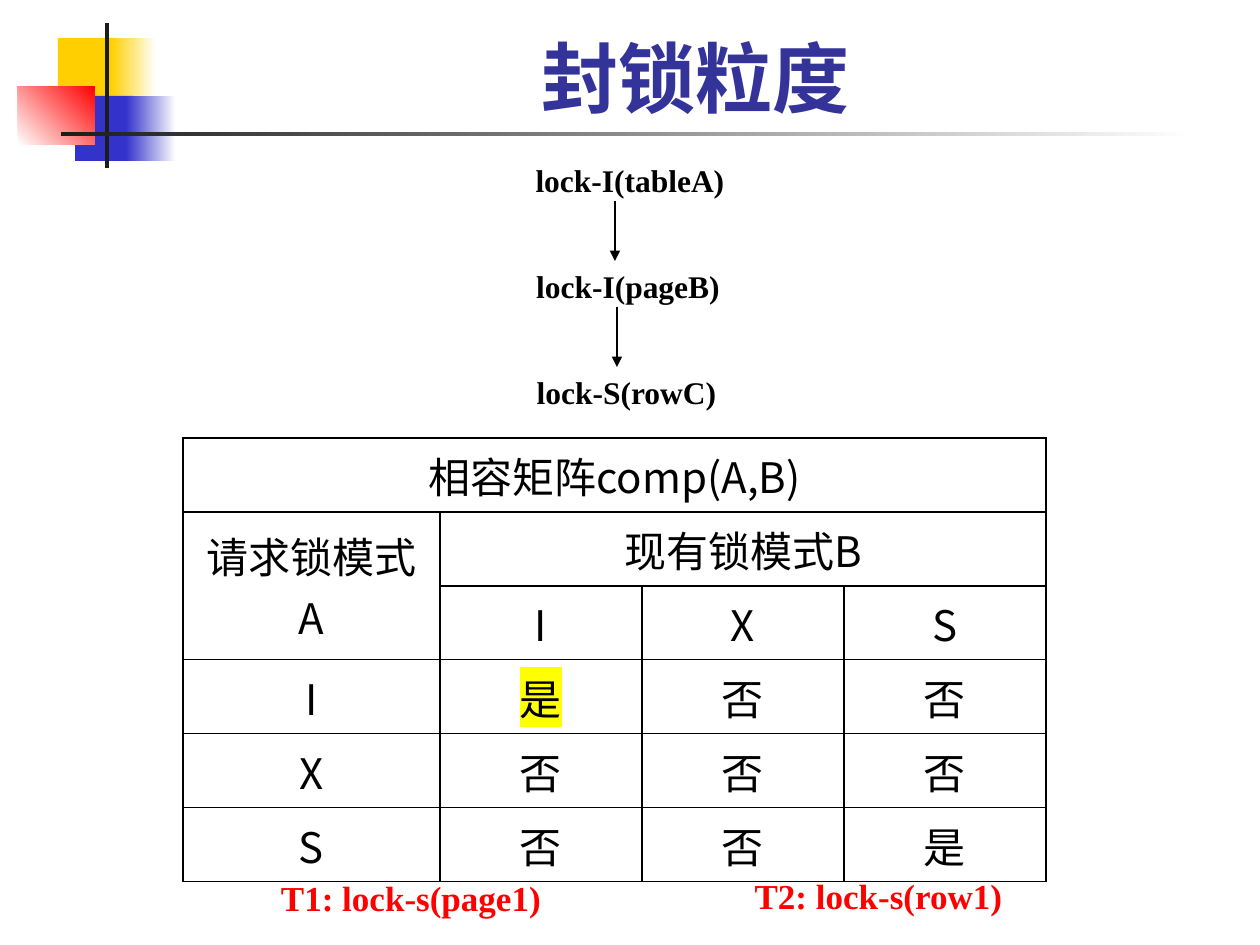
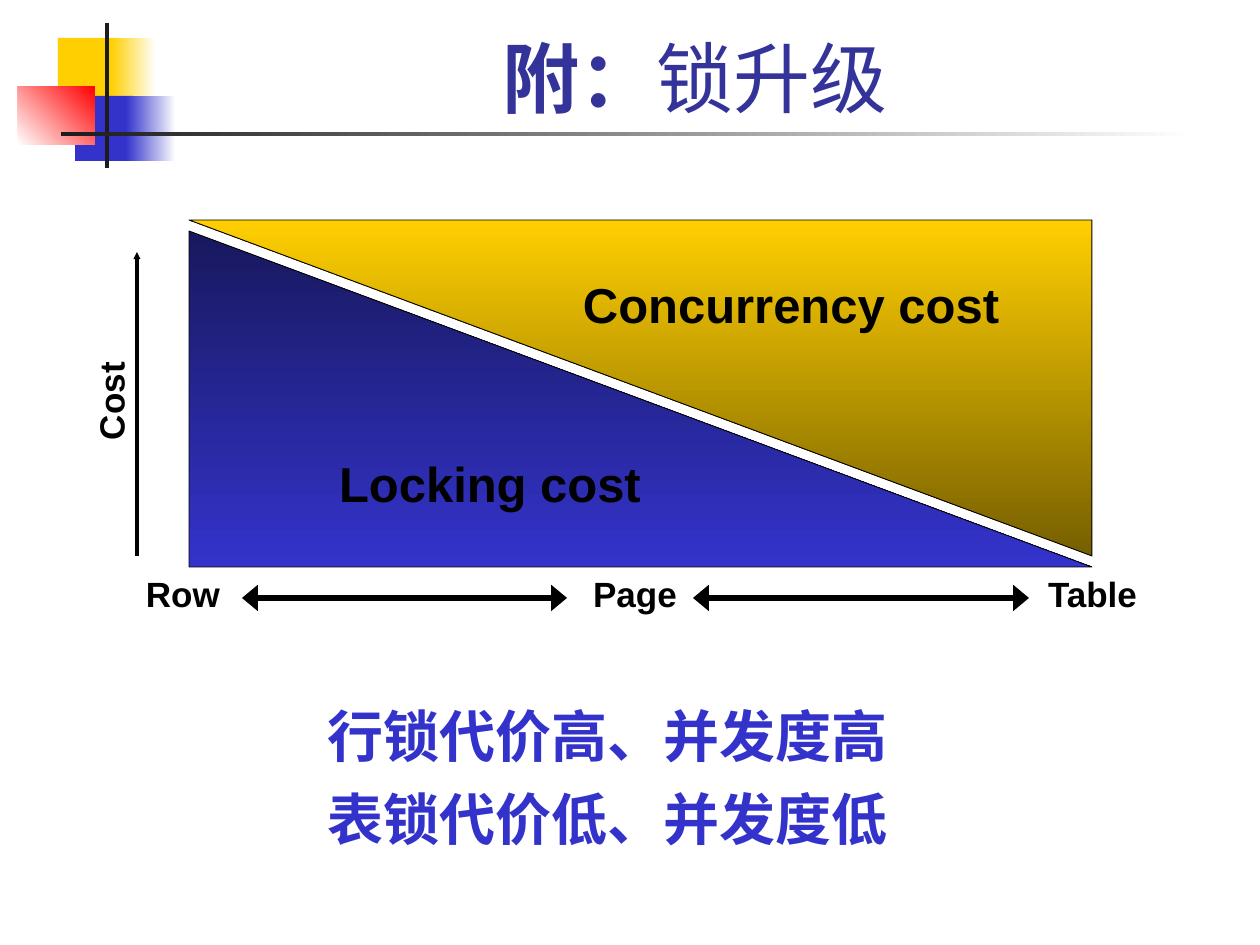
from lxml.etree import SubElement
from pptx import Presentation
from pptx.dml.color import RGBColor
from pptx.enum.shapes import MSO_CONNECTOR, MSO_SHAPE
from pptx.enum.text import MSO_ANCHOR, PP_ALIGN
from pptx.oxml.ns import qn
from pptx.util import Pt

SCALE = 914400 / 126
WIDE, HIGH = 1260, 945

BLACK = RGBColor(0x00, 0x00, 0x00)
WHITE = RGBColor(0xFF, 0xFF, 0xFF)
INK = RGBColor(0x1C, 0x1C, 0x1C)
GOLD = RGBColor(0xFF, 0xCF, 0x01)
BRONZE = RGBColor(0x76, 0x5F, 0x00)
BLUE = RGBColor(0x33, 0x33, 0xCC)
NIGHT = RGBColor(0x18, 0x18, 0x5E)
NAVY = RGBColor(0x33, 0x33, 0x99)
RED = RGBColor(0xFF, 0x00, 0x00)
MARK = RGBColor(0xFF, 0xFF, 0x00)

HEAD, HAN = "Karla", "Noto Sans CJK SC"
SERIF, SANS = "Times New Roman", "Arial"


def px(*sizes):
    return [round(size * SCALE) for size in sizes]


def write(frame, *lines, size=18, font=SERIF, color=BLACK, bold=True, mark=None,
          align=PP_ALIGN.CENTER, anchor=MSO_ANCHOR.TOP, wrap=False, gap=0):
    """Fill a text frame; a line is a string or a list of (text, bold) runs."""
    frame.word_wrap = wrap
    frame.vertical_anchor = anchor
    if not wrap:
        frame.margin_left = frame.margin_right = 0
    for i, line in enumerate(lines):
        para = frame.add_paragraph() if i else frame.paragraphs[0]
        para.alignment = align
        if i and gap:
            para.space_before = Pt(gap)
        for text, heavy in [(line, bold)] if isinstance(line, str) else line:
            run = para.add_run()
            run.text = text
            run.font.size, run.font.bold = Pt(size), heavy
            run.font.color.rgb = color
            run.font.name = font
            props = run._r.get_or_add_rPr()
            SubElement(props, qn("a:ea"), typeface=HAN)
            if mark:
                light = SubElement(props, qn("a:highlight"))
                SubElement(light, qn("a:srgbClr"), val=str(mark))
                props.find(qn("a:latin")).addprevious(light)


class Deck:
    def __init__(self):
        self.show = Presentation()
        self.show.slide_width, self.show.slide_height = px(WIDE, HIGH)
        self.slide = None

    def page(self, *title):
        """Start a slide with the corner blocks, the rules and its title."""
        self.slide = self.show.slides.add_slide(self.show.slide_layouts[6])
        self.shape((58, 38, 60, 66), GOLD)
        self.shape((111, 38, 45, 66), GOLD, WHITE)
        self.shape((75, 96, 58, 65), BLUE)
        self.shape((126, 96, 50, 65), BLUE, WHITE)
        self.shape((18, 86, 77, 59), WHITE, RED, angle=45)
        self.shape((105, 23, 4, 145), INK)
        self.shape((61, 132, 1134, 4), INK, WHITE)
        self.text((159, 23, 1073, 106), list(title), size=44, font=HEAD, color=NAVY,
                  anchor=MSO_ANCHOR.BOTTOM, wrap=True)

    def shape(self, box, color, end=None, angle=0, kind=MSO_SHAPE.RECTANGLE, edge=0):
        form = self.slide.shapes.add_shape(kind, *px(*box))
        form.shadow.inherit = False
        if end is None:
            form.fill.solid()
            form.fill.fore_color.rgb = color
        else:
            form.fill.gradient()
            form.fill.gradient_angle = angle
            for stop, tone in zip(form.fill.gradient_stops, (color, end)):
                stop.color.rgb = tone
        if edge:
            form.line.color.rgb = BLACK
            form.line.width = Pt(edge)
        else:
            form.line.fill.background()
        return form

    def wedge(self, box, dark, color, label, flip=False):
        """Draw a labelled right triangle that fades from a darker tone."""
        form = self.shape(box, dark, color, 270, MSO_SHAPE.RIGHT_TRIANGLE, 0.5)
        write(form.text_frame, label, size=28, font=SANS, anchor=MSO_ANCHOR.MIDDLE)
        if flip:
            frame = form.element.spPr.find(qn("a:xfrm"))
            frame.set("flipH", "1")
            frame.set("flipV", "1")
            form.element.txBody.find(qn("a:bodyPr")).set("rot", "10800000")

    def text(self, box, *lines, turn=0, **style):
        area = self.slide.shapes.add_textbox(*px(*box))
        area.rotation = turn
        write(area.text_frame, *lines, **style)

    def arrow(self, start, end, width, both=False, **head):
        """Draw an arrow; head may set the size of its tip as w and len."""
        line = self.slide.shapes.add_connector(MSO_CONNECTOR.STRAIGHT, *px(*start, *end))
        line.line.color.rgb = BLACK
        line.line.width = Pt(width)
        props = line.element.spPr
        stroke = props.find(qn("a:ln"))
        for tag in ("a:headEnd", "a:tailEnd") if both else ("a:tailEnd",):
            SubElement(stroke, qn(tag), type="triangle", **head)
        SubElement(props, qn("a:effectLst"))

    def table(self, spot, cols, high, rows, spans, marks):
        """Build a ruled grid; spans are pairs of corner cells to merge."""
        box = px(*spot, sum(cols), high * len(rows))
        grid = self.slide.shapes.add_table(len(rows), len(cols), *box).table
        grid.first_row = grid.horz_banding = False
        for col, wide in zip(grid.columns, px(*cols)):
            col.width = wide
        for first, last in spans:
            grid.cell(*first).merge(grid.cell(*last))
        for r, row in enumerate(rows):
            grid.rows[r].height = px(high)[0]
            for c, label in enumerate(row):
                cell = grid.cell(r, c)
                cell.fill.background()
                self.rule(cell)
                if label:
                    write(cell.text_frame, label, size=24, font=HAN, bold=False,
                          wrap=True, mark=MARK if (r, c) in marks else None)
                    cell.vertical_anchor = MSO_ANCHOR.MIDDLE

    def rule(self, cell):
        props = cell._tc.get_or_add_tcPr()
        for i, side in enumerate("LRTB"):
            line = SubElement(props, qn(f"a:ln{side}"), w=str(Pt(0.75)))
            fill = SubElement(line, qn("a:solidFill"))
            SubElement(fill, qn("a:srgbClr"), val=str(BLACK))
            props.insert(i, line)


def grain(deck):
    deck.page(("封锁粒度", True))
    locks = [("lock-I(tableA)", 200), ("lock-I(pageB)", 196), ("lock-S(rowC)", 193)]
    for i, (label, wide) in enumerate(locks):
        top = 155 + 106 * i
        deck.text((530, top, wide, 46), label)
        if i < len(locks) - 1:
            x = 615 + 2 * i
            deck.arrow((x, top + 46), (x, top + 106), 0.75)
    rows = [
        ["相容矩阵comp(A,B)", "", "", ""],
        ["请求锁模式A", "现有锁模式B", "", ""],
        ["", "I", "X", "S"],
        ["I", "是", "否", "否"],
        ["X", "否", "否", "否"],
        ["S", "否", "否", "是"],
    ]
    spans = [((0, 0), (0, 3)), ((1, 0), (2, 0)), ((1, 1), (1, 3))]
    deck.table((183, 438), (257, 202, 202, 202), 74, rows, spans, {(3, 1)})
    note = dict(size=20, color=RED, wrap=True)
    deck.text((740, 868, 277, 54), "T2: lock-s(row1)", **note)
    deck.text((252, 870, 318, 54), "T1: lock-s(page1)", **note)


def climb(deck):
    deck.page(("附：", True), ("锁升级", False))
    deck.wedge((189, 231, 903, 336), NIGHT, BLUE, "Locking cost")
    deck.wedge((189, 220, 903, 336), BRONZE, GOLD, "Concurrency cost", flip=True)
    axis = dict(size=20, font=SANS, anchor=MSO_ANCHOR.MIDDLE)
    for label, left, wide in (("Row", 133, 100), ("Page", 580, 110), ("Table", 1034, 117)):
        deck.text((left, 566, wide, 54), label, **axis)
    for left, right in ((242, 567), (693, 1029)):
        deck.arrow((left, 598), (right, 598), 3, both=True, w="lg", len="med")
    deck.arrow((137, 556), (137, 252), 2, w="sm", len="sm")
    deck.text((59, 374, 103, 54), "Cost", turn=270, **axis)
    deck.text((315, 695, 630, 164), "行锁代价高、并发度高", "表锁代价低、并发度低",
              size=32, color=BLUE, align=PP_ALIGN.JUSTIFY, wrap=True, gap=9)


def main():
    deck = Deck()
    grain(deck)
    climb(deck)
    deck.show.save("out.pptx")


if __name__ == "__main__":
    main()
